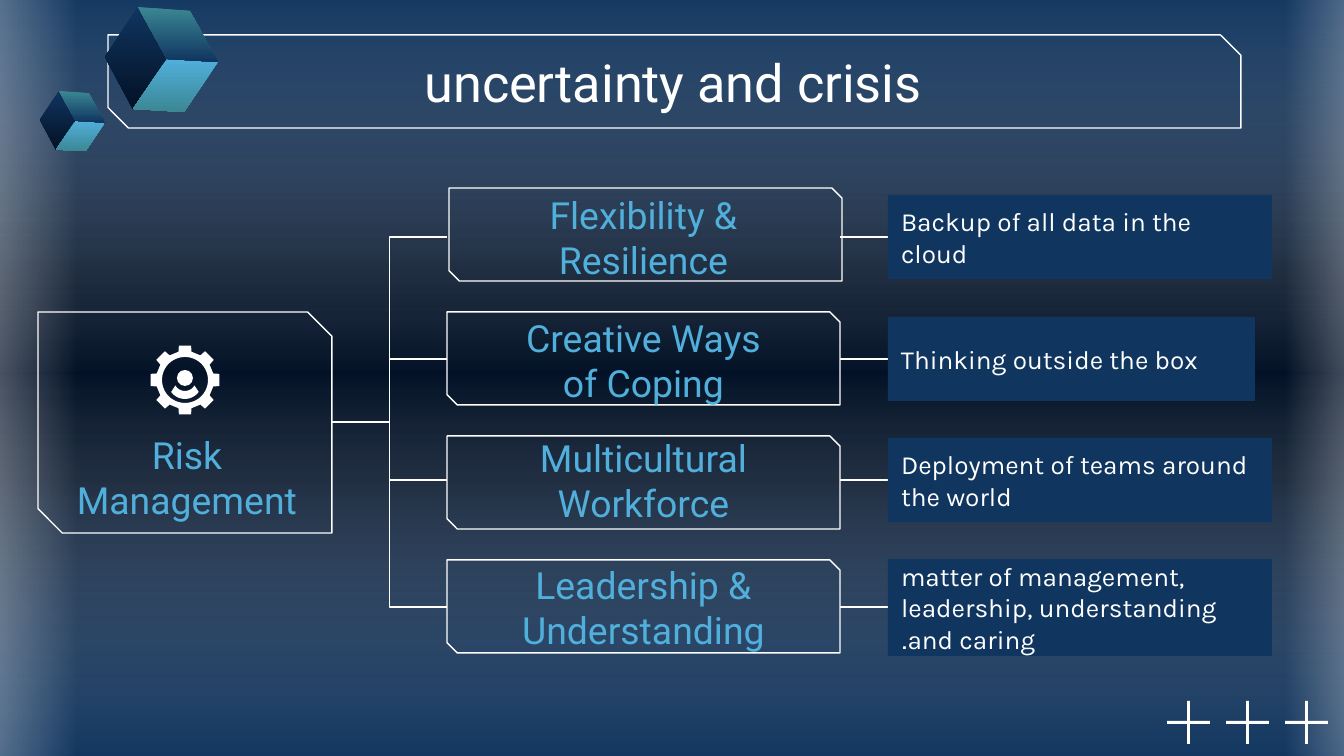
from math import cos, radians, sin

from lxml import etree
from pptx import Presentation
from pptx.dml.color import RGBColor
from pptx.enum.shapes import MSO_CONNECTOR, MSO_SHAPE
from pptx.enum.text import MSO_ANCHOR, MSO_AUTO_SIZE, PP_ALIGN
from pptx.oxml.ns import qn
from pptx.util import Pt

EMU_PER_PX = 914400 / 134.4
RECTANGLE, OVAL = MSO_SHAPE.RECTANGLE, MSO_SHAPE.OVAL
SNIPPED = MSO_SHAPE.SNIP_2_DIAG_RECTANGLE
STRAIGHT, ELBOW = MSO_CONNECTOR.STRAIGHT, MSO_CONNECTOR.ELBOW
LEFT, CENTER = PP_ALIGN.LEFT, PP_ALIGN.CENTER
MIDDLE, FIXED_SIZE = MSO_ANCHOR.MIDDLE, MSO_AUTO_SIZE.NONE
TITLE_ONLY = 5

COLORS = {
    "white": "FFFFFF",
    "navy": "10355F",
    "night": "031126",
    "sky": "51AFDB",
    "teal": "3B8794",
}

STRATEGIES = [
    ("Flexibility &\vResilience", "Backup of all data in the cloud",
     (449, 188), 196, (195, 384, 84), 237),
    ("Creative Ways\vof Coping", "Thinking outside the box",
     (447, 312), 319, (317, 367, 84), 359),
    ("Multicultural Workforce", "Deployment of teams around the world",
     (447, 436), 439, (438, 384, 84), 480),
    ("Leadership & Understanding",
     "matter of management, leadership, understanding and caring.",
     (447, 560), 566, (559, 384, 97), 607),
]


def px(length):
    """Turn pixels into EMU."""
    return round(length * EMU_PER_PX)


def rgb(name):
    """Look up a named colour."""
    return RGBColor.from_string(COLORS[name])


def paint_gradient(fill, element, stops, angle):
    """Fill with (position, colour, opacity) stops, all in percent."""
    fill.gradient()
    gradient = next(element.iter(qn("a:gradFill")))
    stop_list = gradient.find(qn("a:gsLst"))
    for old_stop in list(stop_list):
        stop_list.remove(old_stop)
    for position, color, opacity in stops:
        stop = etree.SubElement(stop_list, qn("a:gs"), pos=str(position * 1000))
        tint = etree.SubElement(stop, qn("a:srgbClr"), val=COLORS[color])
        if opacity < 100:
            etree.SubElement(tint, qn("a:alpha"), val=str(opacity * 1000))
    gradient.find(qn("a:lin")).set("ang", str(angle * 60000))


def finish(shape, fill=None, line=None):
    """Give a shape a plain fill and outline without a shadow."""
    shape.shadow.inherit = False
    if fill:
        shape.fill.solid()
        shape.fill.fore_color.rgb = rgb(fill)
    else:
        shape.fill.background()
    if line:
        shape.line.color.rgb = rgb(line)
        shape.line.width = Pt(0.75)
    else:
        shape.line.fill.background()
    return shape


def add_preset(slide, preset, box, **look):
    """Add a preset shape in a pixel box."""
    return finish(slide.shapes.add_shape(preset, *map(px, box)), **look)


def add_frame(slide, box, snip=0.11):
    """Add an outlined box with two snipped corners."""
    frame = add_preset(slide, SNIPPED, box, line="white")
    frame.adjustments[0] = 0
    frame.adjustments[1] = snip


def add_outline(slide, *contours, **look):
    """Add a freeform from closed contours of pixel points."""
    builder = None
    for contour in contours:
        start, *rest = [(px(x), px(y)) for x, y in contour]
        if builder is None:
            builder = slide.shapes.build_freeform(*start)
        else:
            builder.move_to(*start)
        builder.add_line_segments(rest, close=True)
    return finish(builder.convert_to_shape(), **look)


def add_link(slide, kind, start, end):
    """Add a thin white connector."""
    link = slide.shapes.add_connector(kind, *map(px, start + end))
    link.line.color.rgb = rgb("white")
    link.line.width = Pt(0.75)
    etree.SubElement(link.element.spPr, qn("a:effectLst"))


def write_text(shape, text, size=20, font="Roboto", color="sky", align=CENTER, rtl=False):
    """Write one formatted paragraph into a shape."""
    frame = shape.text_frame
    frame.word_wrap = True
    frame.auto_size = FIXED_SIZE
    frame.vertical_anchor = MIDDLE
    frame.margin_left = frame.margin_right = px(13)
    frame.margin_top = frame.margin_bottom = px(13)
    paragraph = frame.paragraphs[0]
    paragraph.text = text
    paragraph.alignment = align
    if rtl:
        paragraph._p.get_or_add_pPr().set("rtl", "1")
    for run in paragraph.runs:
        run.font.size = Pt(size)
        run.font.name = font
        run.font.bold = False
        run.font.color.rgb = rgb(color)


def add_text(slide, box, text, **style):
    """Add a text box."""
    write_text(slide.shapes.add_textbox(*map(px, box)), text, **style)


def arc(center, radius, first, last, step=6):
    """List points along an arc given in degrees."""
    direction = step if last > first else -step
    return [(center[0] + radius * cos(radians(angle)), center[1] + radius * sin(radians(angle)))
            for angle in range(first, last + direction, direction)]


def draw_backdrop(slide, width, height):
    """Draw the dark band and the glowing side edges."""
    paint_gradient(slide.background.fill, slide.element,
                   [(0, "navy", 100), (37, "night", 100), (63, "night", 100), (100, "navy", 100)], 90)
    glow = [(0, "white", 47), (100, "white", 0)]
    veil = [(0, "navy", 59), (50, "white", 0), (100, "navy", 59)]
    for box, stops, angle in [
        ((0, -17, width + 28, height + 25), veil, 90),
        ((-55, -12, 132, height + 24), glow, 0),
        ((width - 59, -17, 114, height + 24), glow, 180),
    ]:
        panel = add_preset(slide, RECTANGLE, box)
        paint_gradient(panel.fill, panel.element, stops, angle)


def draw_title(slide, box, text):
    """Draw the framed title."""
    left, top, width, height = box
    add_frame(slide, box, snip=0.22)
    title = slide.shapes.title
    slide.shapes._spTree.append(title.element)
    title.left, title.top = px(left + 184), px(top + 4)
    title.width, title.height = px(width - 371), px(height - 8)
    write_text(title, text, size=28, color="white")


def draw_gear(slide, center):
    """Draw a cogwheel holding a person."""
    x, y = center
    rim = []
    for tooth in range(0, 360, 45):
        for radius, turn in [(29, -13), (35, -10), (35, 10), (29, 13)]:
            rim += arc(center, radius, tooth + turn, tooth + turn)[:1]
    add_outline(slide, rim, arc(center, 23, 360, 6), fill="white")
    add_preset(slide, OVAL, (x - 8, y - 10, 16, 16), fill="white")
    add_outline(slide, arc((x, y + 2), 17, 36, 144) + arc((x, y), 11, 150, 30), fill="white")


def draw_topic(slide, box, text):
    """Draw the root topic with its icon."""
    left, top, width, height = box
    add_frame(slide, box)
    add_text(slide, (left + 2, top + 130, width, 70), text)
    draw_gear(slide, (left + 147, top + 68))


def draw_strategy(slide, root, label, detail, corner, label_top, detail_box, link_y):
    """Draw one branch from the root to its detail."""
    left, top = corner
    detail_top, detail_width, detail_height = detail_box
    add_link(slide, ELBOW, root, (447, link_y))
    add_frame(slide, (left, top, 393, 93))
    add_text(slide, (447, label_top, 393, 82), label)
    add_link(slide, STRAIGHT, (840, link_y), (888, link_y))
    panel = add_preset(slide, RECTANGLE, (888, detail_top, detail_width, detail_height), fill="navy")
    write_text(panel, detail, size=14, font="Karla", color="white", align=LEFT,
               rtl=label != STRATEGIES[0][0])


def draw_pluses(slide, box, count=3):
    """Draw a row of thin plus signs."""
    left, top, size, step = box
    middle = (size - 3) / 2
    for index in range(count):
        x = left + index * step
        add_preset(slide, RECTANGLE, (x, top + middle, size, 3), fill="white")
        add_preset(slide, RECTANGLE, (x + middle, top, 3, size), fill="white")


def draw_cube(slide, box):
    """Draw a three-faced cube scaled to its box."""
    left, top, width = box
    scale = width / 113
    back, right_back, right, front, left_front, side, hub = [
        (left + x * scale, top + y * scale)
        for x, y in [(33, 0), (85, 4), (113, 55), (79, 105), (28, 102), (0, 50), (62, 52)]]
    for corners, upper, lower in [
        ((back, side, left_front, hub), "navy", "night"),
        ((hub, right, front, left_front), "sky", "teal"),
        ((back, right_back, right, hub), "teal", "navy"),
    ]:
        face = add_outline(slide, corners)
        paint_gradient(face.fill, face.element, [(0, upper, 100), (100, lower, 100)], 90)


def main():
    """Build and save the slide."""
    deck = Presentation()
    deck.slide_width, deck.slide_height = px(1344), px(756)
    slide = deck.slides.add_slide(deck.slide_layouts[TITLE_ONLY])
    draw_backdrop(slide, 1344, 756)
    draw_title(slide, (108, 35, 1133, 93), "uncertainty and crisis")
    draw_topic(slide, (38, 312, 294, 221), "Risk Management")
    for strategy in STRATEGIES:
        draw_strategy(slide, (332, 422), *strategy)
    draw_pluses(slide, (1167, 701, 43, 59))
    draw_cube(slide, (105, 7, 113))
    draw_cube(slide, (40, 91, 65))
    deck.save("out.pptx")


if __name__ == "__main__":
    main()
